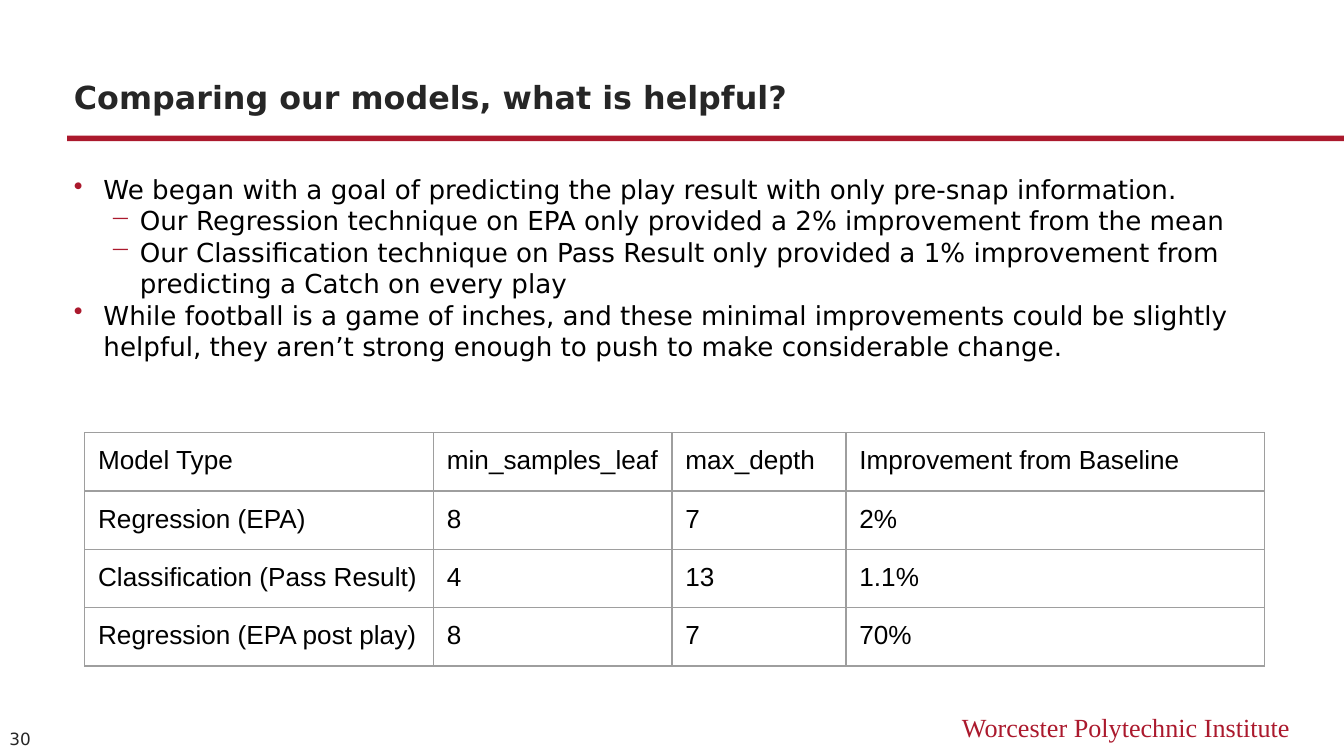
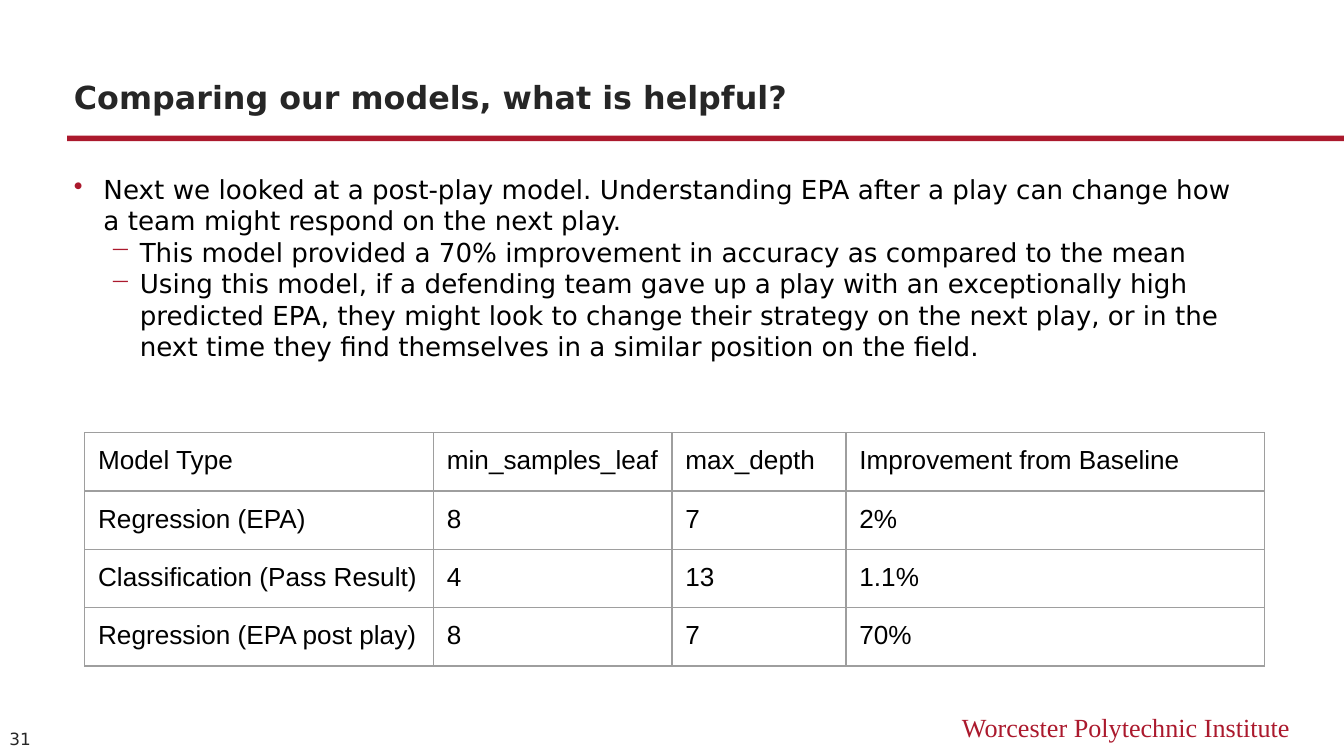
import pptx
import pptx.dml.color
import pptx.enum.shapes
import pptx.enum.text
import pptx.oxml
import pptx.oxml.ns
import pptx.util

SCALE = 4572  # EMU in one px, 200 px to the inch
THEME = {
    "red": "AB192D", "ink": "262626", "black": "000000", "grid": "9E9E9E",
    "sans": "DejaVu Sans", "serif": "Times New Roman", "cell": "Arial",
    "head": 17, "text": 14, "page": 9,
}
ANCHOR = pptx.enum.text.MSO_ANCHOR
ALIGN = pptx.enum.text.PP_ALIGN
RGB = pptx.dml.color.RGBColor.from_string
NS = pptx.oxml.ns.nsdecls("a")

TITLE = "Comparing our models, what is helpful?"
SCHOOL = "Worcester Polytechnic Institute"
FIRST = 30
# Each point is (level, text).
POINTS = [
    [
        (0, "We began with a goal of predicting the play result with only pre-snap information."),
        (1, "Our Regression technique on EPA only provided a 2% improvement from the mean"),
        (1, "Our Classification technique on Pass Result only provided a 1% improvement "
            "from predicting a Catch on every play"),
        (0, "While football is a game of inches, and these minimal improvements could be "
            "slightly helpful, they aren’t strong enough to push to make considerable change."),
    ],
    [
        (0, "Next we looked at a post-play model. Understanding EPA after a play can change "
            "how a team might respond on the next play."),
        (1, "This model provided a 70% improvement in accuracy as compared to the mean"),
        (1, "Using this model, if a defending team gave up a play with an exceptionally high "
            "predicted EPA, they might look to change their strategy on the next play, or in "
            "the next time they find themselves in a similar position on the field."),
    ],
]
BULLETS = [("•", 44), ("─", 98)]  # mark and left margin of each level
HANG = 44
ROWS = [
    ("Model Type", "min_samples_leaf", "max_depth", "Improvement from Baseline"),
    ("Regression (EPA)", "8", "7", "2%"),
    ("Classification (Pass Result)", "4", "13", "1.1%"),
    ("Regression (EPA post play)", "8", "7", "70%"),
]
WIDTHS = [519, 355, 259, 623]
HEIGHTS = [84, 86, 84, 84]


def px(*sizes):
    return [pptx.util.Emu(size * SCALE) for size in sizes]


def style(frame, face, size, color, bold=False, pad=(14, 8), anchor=ANCHOR.TOP,
          align=ALIGN.LEFT):
    """Format a text frame or table cell and every run in it."""
    frame.margin_left, frame.margin_top = px(*pad)
    frame.margin_right, frame.margin_bottom = px(*pad)
    frame.vertical_anchor = anchor
    frame.word_wrap = True
    for para in getattr(frame, "text_frame", frame).paragraphs:
        para.alignment = align
        for run in para.runs:
            run.font.name = THEME[face]
            run.font.size = pptx.util.Pt(THEME[size])
            run.font.bold = bold
            run.font.color.rgb = RGB(THEME[color])


deck = pptx.Presentation()
deck.slide_width, deck.slide_height = px(2000, 1125)

for page, points in enumerate(POINTS, FIRST):
    slide = deck.slides.add_slide(deck.slide_layouts[5])
    shapes = slide.shapes

    rule = shapes.add_shape(pptx.enum.shapes.MSO_SHAPE.RECTANGLE, *px(100, 202, 1900, 8))
    rule.shadow.inherit = False
    rule.fill.solid()
    rule.fill.fore_color.rgb = RGB(THEME["red"])
    rule.line.fill.background()

    school = shapes.add_textbox(*px(1200, 1050, 734, 62)).text_frame
    school.text = SCHOOL
    style(school, "serif", "text", "red", align=ALIGN.RIGHT)

    title = shapes.title
    title.left, title.top, title.width, title.height = px(96, 82, 1830, 98)
    head = title.text_frame
    head.text = TITLE
    head.auto_size = pptx.enum.text.MSO_AUTO_SIZE.NONE
    style(head, "sans", "head", "ink", bold=True, anchor=ANCHOR.BOTTOM)

    body = shapes.add_textbox(*px(96, 250, 1756, 698)).text_frame
    for spot, (level, text) in enumerate(points):
        para = body.add_paragraph() if spot else body.paragraphs[0]
        para.text = text
        para.level = level
        mark, left = BULLETS[level]
        props = para._p.get_or_add_pPr()
        props.set("marL", str(left * SCALE))
        props.set("indent", str(-HANG * SCALE))
        for xml in (
            f'<a:buClr {NS}><a:srgbClr val="{THEME["red"]}"/></a:buClr>',
            f'<a:buChar {NS} char="{mark}"/>',
        ):
            props.append(pptx.oxml.parse_xml(xml))
    style(body, "sans", "text", "black")

    number = shapes.add_textbox(*px(0, 1076, 76, 48)).text_frame
    number.text = str(page)
    style(number, "sans", "page", "ink", anchor=ANCHOR.MIDDLE)

    table = shapes.add_table(
        len(ROWS), len(WIDTHS), *px(126, 644, sum(WIDTHS), sum(HEIGHTS))
    ).table
    table.first_row = table.horz_banding = False
    for column, width in zip(table.columns, px(*WIDTHS)):
        column.width = width
    for row, height, texts in zip(table.rows, px(*HEIGHTS), ROWS):
        row.height = height
        for cell, text in zip(row.cells, texts):
            cell.text = text
            style(cell, "cell", "text", "black", pad=(20, 20))
            cell.fill.background()
            props = cell._tc.get_or_add_tcPr()
            for place, side in enumerate("LRTB"):
                props.insert(place, pptx.oxml.parse_xml(
                    f'<a:ln{side} {NS} w="{pptx.util.Pt(0.75)}"><a:solidFill>'
                    f'<a:srgbClr val="{THEME["grid"]}"/></a:solidFill></a:ln{side}>'
                ))

deck.save("out.pptx")
